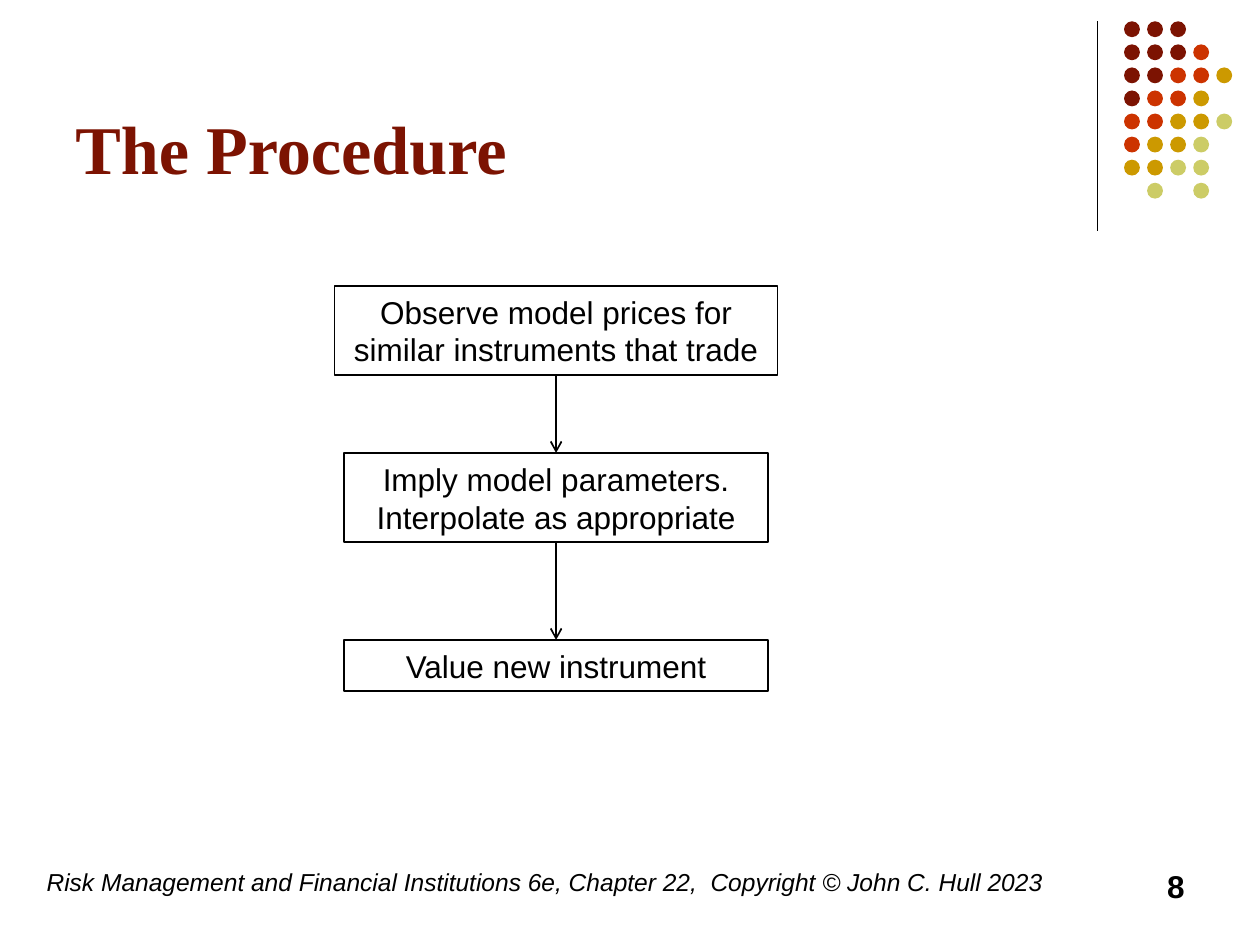
from lxml import etree
from pptx import Presentation
from pptx.dml.color import RGBColor
from pptx.enum.shapes import MSO_CONNECTOR, MSO_SHAPE
from pptx.enum.text import MSO_ANCHOR, MSO_AUTO_SIZE, PP_ALIGN
from pptx.oxml.ns import qn
from pptx.util import Cm, Pt

LEFT, CENTER, RIGHT = PP_ALIGN.LEFT, PP_ALIGN.CENTER, PP_ALIGN.RIGHT
TOP, MIDDLE, BOTTOM = MSO_ANCHOR.TOP, MSO_ANCHOR.MIDDLE, MSO_ANCHOR.BOTTOM
NO_FIT = MSO_AUTO_SIZE.NONE
RECT, OVAL, STRAIGHT = MSO_SHAPE.RECTANGLE, MSO_SHAPE.OVAL, MSO_CONNECTOR.STRAIGHT

BLACK = RGBColor(0x00, 0x00, 0x00)
WHITE = RGBColor(0xFF, 0xFF, 0xFF)
MAROON = RGBColor(0x7C, 0x13, 0x02)
RED = RGBColor(0xCC, 0x33, 0x00)
GOLD = RGBColor(0xCC, 0x99, 0x00)
OLIVE = RGBColor(0xCC, 0xCC, 0x66)

# Content
TITLE = "The Procedure"
STEPS = [  # text, top, width, height in cm
    ("Observe model prices for similar instruments that trade", 5.76, 8.93, 1.8),
    ("Imply model parameters. Interpolate as appropriate", 9.13, 8.54, 1.8),
    ("Value new instrument", 12.9, 8.54, 1.03),
]
FOOTER = "Risk Management and Financial Institutions 6e, Chapter 22,  Copyright © John C. Hull 2023"
PAGE = "8"
DOTS = ["MMM", "MMMR", "MMRRG", "MRRG", "RRGGO", "RGGO", "GGOO", " O O"]
DOT_COLORS = {"M": MAROON, "R": RED, "G": GOLD, "O": OLIVE}

# Layout in cm
STEP_CENTER = 11.21
DOT_LEFT, DOT_TOP, DOT_STEP, DOT_SIZE = 22.66, 0.43, 0.465, 0.32

# Text formats
TITLE_FONT = dict(name="Times New Roman", size=Pt(39), bold=True, italic=False)
STEP_FONT = dict(name="Arial", size=Pt(18), bold=False, italic=False)
FOOTER_FONT = dict(name="Arial", size=Pt(14), bold=False, italic=True)
PAGE_FONT = dict(name="Arial", size=Pt(18), bold=True, italic=False)


def write(sp, text, fmt, color=BLACK, align=LEFT, anchor=TOP):
    tf = sp.text_frame
    frame = dict(word_wrap=True, auto_size=NO_FIT, vertical_anchor=anchor,
                 margin_left=Cm(0.25), margin_right=Cm(0.25),
                 margin_top=Cm(0.13), margin_bottom=Cm(0.13))
    for key, value in frame.items():
        setattr(tf, key, value)
    p = tf.paragraphs[0]
    p.alignment = align
    r = p.add_run()
    r.text = text
    for key, value in fmt.items():
        setattr(r.font, key, value)
    r.font.color.rgb = color


def add_line(s, x, y1, y2, width, arrow=False):
    line = s.shapes.add_connector(STRAIGHT, Cm(x), Cm(y1), Cm(x), Cm(y2))
    line.line.color.rgb = BLACK
    line.line.width = Pt(width)
    if arrow:
        etree.SubElement(line.line._get_or_add_ln(), qn("a:tailEnd"), type="arrow")
    etree.SubElement(line._element.spPr, qn("a:effectLst"))


def add_dots(s):
    group = s.shapes.add_group_shape()
    for row, codes in enumerate(DOTS):
        for col, code in enumerate(codes):
            if code == " ":
                continue
            dot = group.shapes.add_shape(
                OVAL, Cm(DOT_LEFT + col * DOT_STEP), Cm(DOT_TOP + row * DOT_STEP),
                Cm(DOT_SIZE), Cm(DOT_SIZE))
            dot.shadow.inherit = False
            dot.fill.solid()
            dot.fill.fore_color.rgb = DOT_COLORS[code]
            dot.line.fill.background()


def add_step(s, text, top, width, height):
    sp = s.shapes.add_shape(RECT, Cm(STEP_CENTER - width / 2), Cm(top), Cm(width), Cm(height))
    sp.shadow.inherit = False
    sp.fill.solid()
    sp.fill.fore_color.rgb = WHITE
    sp.line.color.rgb = BLACK
    sp.line.width = Pt(1)
    write(sp, text, STEP_FONT, align=CENTER, anchor=MIDDLE)


def main():
    prs = Presentation()
    prs.slide_width, prs.slide_height = Cm(25.4), Cm(19.05)
    s = prs.slides.add_slide(prs.slide_layouts[5])

    # Corner ornament
    add_line(s, 22.12, 0.43, 4.65, 0.75)
    add_dots(s)

    # Title
    title = s.shapes.title
    title.left, title.top, title.width, title.height = Cm(1.27), Cm(0.33), Cm(20.96), Cm(3.6)
    write(title, TITLE, TITLE_FONT, MAROON, anchor=BOTTOM)

    # Footer and page number
    footer = s.shapes.add_textbox(Cm(0.69), Cm(17.35), Cm(21), Cm(1.27))
    write(footer, FOOTER, FOOTER_FONT)
    page = s.shapes.add_textbox(Cm(18.21), Cm(17.35), Cm(5.92), Cm(1.27))
    write(page, PAGE, PAGE_FONT, align=RIGHT)

    # Steps, each joined to the next by an arrow
    for step in STEPS:
        add_step(s, *step)
    for (_, top, _, height), (_, next_top, _, _) in zip(STEPS, STEPS[1:]):
        add_line(s, STEP_CENTER, top + height, next_top, 1, arrow=True)

    prs.save("out.pptx")


if __name__ == "__main__":
    main()
